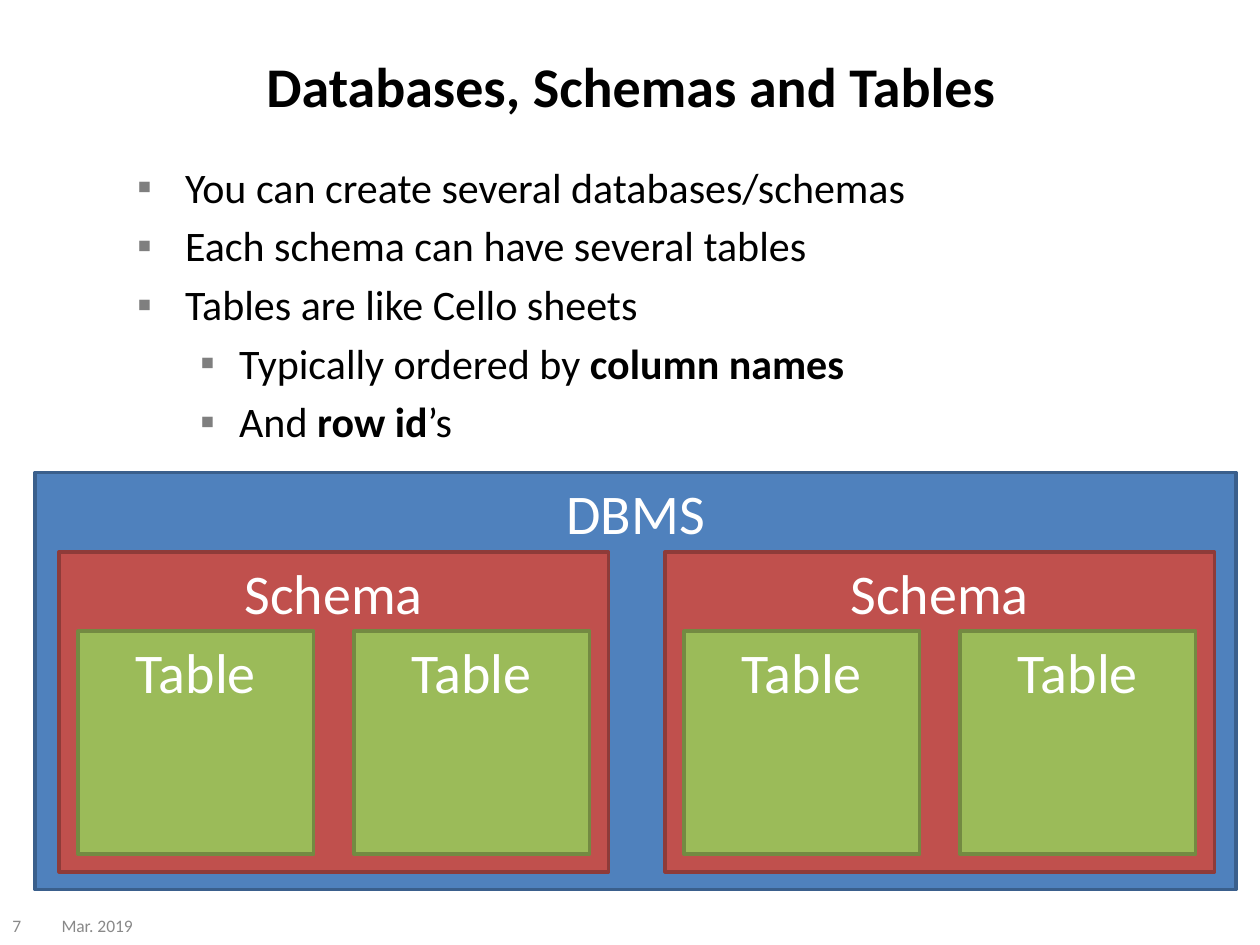
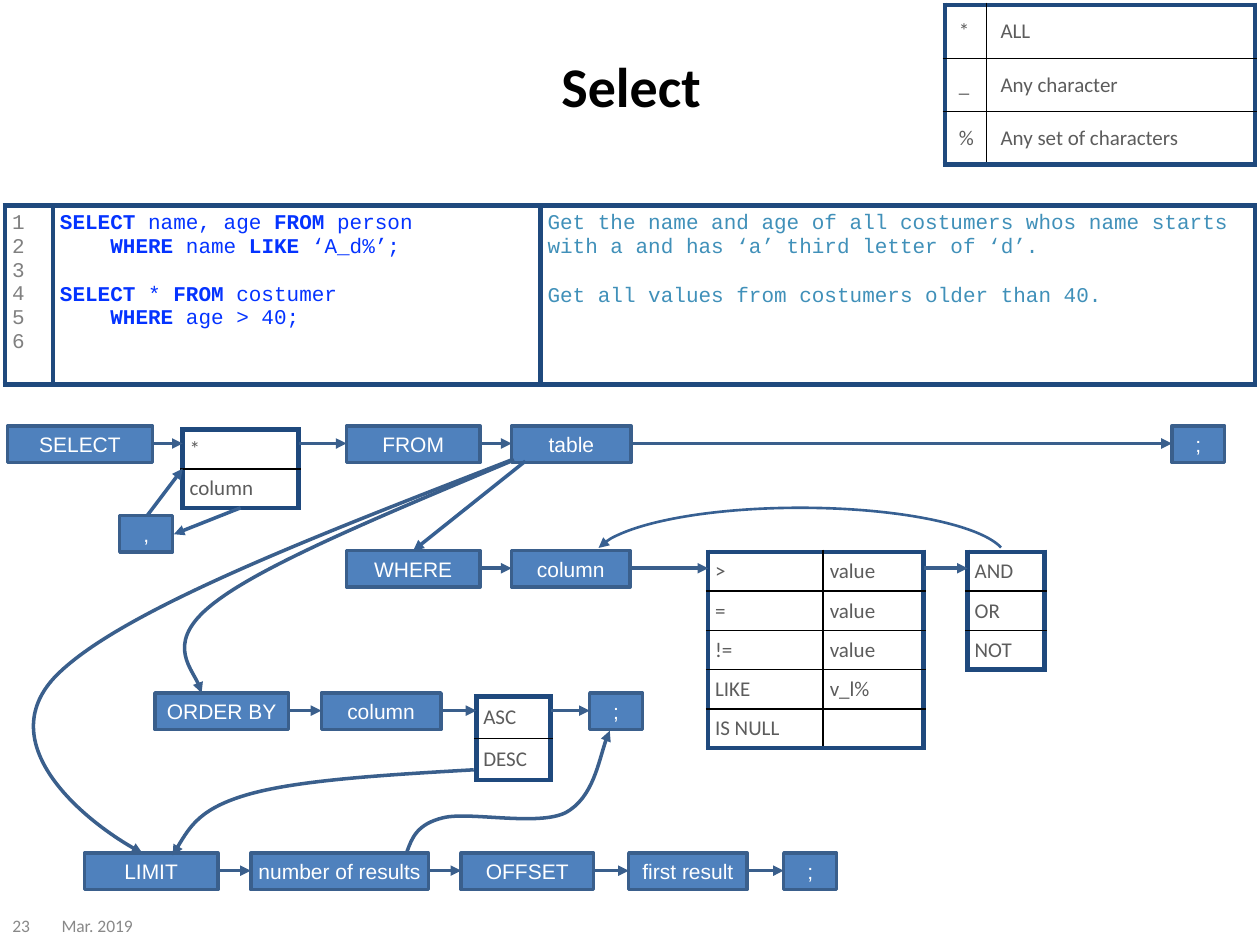
from lxml import etree
from pptx import Presentation
from pptx.dml.color import RGBColor
from pptx.enum import shapes, text
from pptx.oxml.ns import qn
from pptx.util import Inches, Pt

HUES = {
    "black": "000000", "white": "FFFFFF", "foot": "898989", "bullet": "7F7F7F",
    "blue": "4F81BD", "edge": "3A5F8C", "link": "376092", "navy": "1F497D",
    "red": "C0504D", "maroon": "8E3B39", "green": "9BBB59", "olive": "738A42",
    "cell": "5C5C5C", "count": "808080", "code": "0433FF", "note": "4090B9",
}
MID = text.MSO_ANCHOR.MIDDLE
TOP = text.MSO_ANCHOR.TOP
CENTER = text.PP_ALIGN.CENTER
BOX = 0.29


def hue(name):
    """Return a named colour."""
    return RGBColor.from_string(HUES[name])


def sub(node, tag, **attrs):
    """Append an XML child with the given attributes."""
    return etree.SubElement(node, qn(tag), **attrs)


def inset(part, pad):
    """Set four equal margins, in points."""
    part.margin_left = part.margin_right = Pt(pad)
    part.margin_top = part.margin_bottom = Pt(pad)


def write(frame, lines, size, color, font="Calibri", align=None):
    """Write paragraphs by run: bars switch bold, newlines break the line."""
    for i, line in enumerate(lines):
        para = frame.paragraphs[0] if i == 0 else frame.add_paragraph()
        para.alignment = align
        para.font.size = Pt(size)
        for j, part in enumerate(line.split("|")):
            for k, piece in enumerate(part.split("\n")):
                if k:
                    para.add_line_break()
                    sub(para._p[-1], "a:rPr", sz=str(size * 100))
                if piece:
                    run = para.add_run()
                    run.text = piece
                    run.font.size, run.font.name = Pt(size), font
                    run.font.bold = j % 2 == 1
                    run.font.color.rgb = hue(color)
        if not line:
            sub(para._p, "a:endParaRPr", sz=str(size * 100))
    return frame.paragraphs


def label(slide, box, lines, size, color, anchor=MID, align=None):
    """Add a wrapped text box and return its paragraphs."""
    frame = slide.shapes.add_textbox(*map(Inches, box)).text_frame
    frame.word_wrap, frame.vertical_anchor = True, anchor
    return write(frame, lines, size, color, align=align)


def block(slide, box, word, fill, edge, size=32, font="Calibri", anchor=TOP, pad=None):
    """Add an outlined rectangle with a centred word."""
    shape = slide.shapes.add_shape(shapes.MSO_SHAPE.RECTANGLE, *map(Inches, box))
    shape.shadow.inherit = False
    shape.fill.solid()
    shape.fill.fore_color.rgb = hue(fill)
    shape.line.color.rgb, shape.line.width = hue(edge), Pt(2)
    frame = shape.text_frame
    frame.word_wrap, frame.vertical_anchor = True, anchor
    if pad:
        inset(frame, pad)
    write(frame, [word], size, "white", font, CENTER)


def point(shape, color, width=2):
    """Style a line and end it with an arrowhead."""
    shape.line.color.rgb, shape.line.width = hue(color), Pt(width)
    sub(shape.line._get_or_add_ln(), "a:tailEnd", type="triangle")


def arrow(slide, x1, y1, x2, y2, color):
    """Add a straight arrow."""
    line = slide.shapes.add_connector(
        shapes.MSO_CONNECTOR.STRAIGHT, *map(Inches, (x1, y1, x2, y2)))
    point(line, color)
    sub(line.element.spPr, "a:effectLst")


def curve(slide, x, y, box, knots):
    """Add an arrow of cubic segments whose bounds are the box."""
    left, top, w, h = box
    pen = slide.shapes.build_freeform(Inches(x + left), Inches(y + top))
    pen.add_line_segments([(Inches(x + left + w), Inches(y + top + h))], close=False)
    shape = pen.convert_to_shape()
    shape.shadow.inherit = False
    shape.fill.background()
    point(shape, "edge")
    track = next(shape.element.iter(qn("a:path")))
    for child in list(track):
        track.remove(child)
    for i, (kx, ky) in enumerate(knots):
        if i == 0:
            step = sub(track, "a:moveTo")
        elif i % 3 == 1:
            step = sub(track, "a:cubicBezTo")
        sub(step, "a:pt", x=str(Inches(kx - left)), y=str(Inches(ky - top)))


def border(cell, sides):
    """Draw the four cell borders, navy where marked and thin black elsewhere."""
    props = cell._tc.get_or_add_tcPr()
    for side, bold in zip("LRTB", sides):
        line = sub(props, "a:ln" + side, w=str(Pt(3 if bold else 1)))
        sub(sub(line, "a:solidFill"), "a:srgbClr", val=HUES["navy" if bold else "black"])


def grid(slide, x, y, cols, pitch, rows, pad=4, anchor=MID, full=False):
    """Add a framed table and return it."""
    tall, wide = len(rows), len(cols)
    table = slide.shapes.add_table(
        tall, wide, *map(Inches, (x, y, sum(cols), pitch * tall))).table
    table.first_row = table.horz_banding = False
    for c, width in enumerate(cols):
        table.columns[c].width = Inches(width)
    for r, row in enumerate(rows):
        table.rows[r].height = Inches(pitch)
        for c, word in enumerate(row):
            cell = table.cell(r, c)
            border(cell, (full or c == 0, full or c == wide - 1,
                          full or r == 0, full or r == tall - 1))
            cell.fill.background()
            cell.vertical_anchor = anchor
            inset(cell, pad)
            if not full:
                write(cell.text_frame, [word], 12, "cell")
    return table


def base(deck, title, page):
    """Add a slide with its title and footer."""
    slide = deck.slides.add_slide(deck.slide_layouts[6])
    label(slide, (0.51, 0.05, 9, 1.25), [f"|{title}|"], 32, "black", align=CENTER)
    label(slide, (0.39, 7.19, 0.94, 0.31), ["Mar. 2019"], 10, "foot")
    label(slide, (0, 7.19, 0.47, 0.31), [page], 10, "foot")
    return slide


def points(slide, box, items):
    """Add a bulleted list of level and text pairs."""
    paras = label(slide, box, [line for _, line in items], 24, "black", TOP)
    for para, (level, _) in zip(paras, items):
        para.level, para.space_before = level, Pt(4.7)
        left, hang = ((0.38, 0.38), (0.81, 0.31))[level]
        props = para._p.get_or_add_pPr()
        props.set("marL", str(Inches(left)))
        props.set("indent", str(-Inches(hang)))
        for old in props.findall(qn("a:defRPr")):
            props.remove(old)
        sub(sub(props, "a:buClr"), "a:srgbClr", val=HUES["bullet"])
        sub(props, "a:buFont", typeface="Arial")
        sub(props, "a:buChar", char="▪")


def nest(slide, x, y, w, h):
    """Draw the system with its schemas and their tables."""
    block(slide, (x, y, w, h), "DBMS", "blue", "edge")
    for i in range(2):
        left, top = x + 0.19 + 4.81 * i, y + 0.63
        block(slide, (left, top, 4.36, 2.54), "Schema", "red", "maroon")
        for j in range(2):
            block(slide, (left + 0.15 + 2.19 * j, top + 0.63, 1.87, 1.77),
                  "Table", "green", "olive")


def sample(slide, x, y):
    """Add the numbered code with its explanation."""
    table = grid(slide, x, y, (0.38, 3.87, 5.67), 1.42, [("", "", "")],
                 anchor=TOP, full=True)
    parts = (
        ("count", [("1\n2\n3\n4\n5\n6", 0, 0)]),
        ("code", [("|SELECT |name, age| FROM |person", 0, 0),
                  ("|WHERE |name |LIKE| ‘A_d%’;", 0.4, 0),
                  ("|SELECT| * |FROM| costumer", 0, 1),
                  ("|WHERE| age > 40;", 0.4, 0)]),
        ("note", [("Get the name and age of all costumers whos name starts "
                   "with a and has ‘a’ third letter of ‘d’.\n\n"
                   "Get all values from costumers older than 40.", 0, 0)]),
    )
    for c, (color, lines) in enumerate(parts):
        frame = table.cell(0, c).text_frame
        paras = write(frame, [line[0] for line in lines], 12, color, "Courier New")
        for para, (_, dent, gap) in zip(paras, lines):
            para.space_before = Pt(13.6 * gap)
            para._p.get_or_add_pPr().set("marL", str(Inches(dent)))


def node(slide, x, y, w, word):
    """Add one box of the syntax diagram."""
    block(slide, (x, y, w, BOX), word, "blue", "edge", 12, "Arial", MID, 4)


def chain(slide, x, y, drop, pitch, items):
    """Add a row of boxes and tables joined by arrows."""
    end = None
    for left, size, what in items:
        if isinstance(what, str):
            node(slide, x + left, y, size, what)
            width = size
        else:
            grid(slide, x + left, y + drop, size, pitch, what)
            width = sum(size)
        if end:
            arrow(slide, x + end, y + 0.14, x + left, y + 0.14, "edge")
        end = left + width


def loop(slide, box):
    """Add the arched arrow that leads back to the column."""
    arc = slide.shapes.add_shape(shapes.MSO_SHAPE.ARC, *map(Inches, box))
    arc.shadow.inherit = False
    arc.fill.background()
    arc.adjustments[0], arc.adjustments[1] = 110.044, 214.044
    arc.element.spPr.find(qn("a:xfrm")).set("flipH", "1")
    point(arc, "link", 1.5)


def syntax(slide, x, y):
    """Draw the syntax diagram of the query."""
    tests = [(">", "value"), ("=", "value"), ("!=", "value"),
             ("LIKE", "v_l%"), ("IS NULL", "")]
    rows = (
        (0, 0.03, 0.31, [
            (0.06, 1.15, "SELECT"), (1.45, [0.92], [("*",), ("column",)]),
            (2.75, 1.06, "FROM"), (4.06, 0.95, "table"), (9.3, 0.42, ";")]),
        (0.99, 0.01, 0.31, [
            (2.75, 1.06, "WHERE"), (4.06, 0.94, "column"),
            (5.62, [0.91, 0.8], tests),
            (7.68, [0.61], [("AND",), ("OR",), ("NOT",)])]),
        (2.12, 0.03, 0.33, [
            (1.23, 1.06, "ORDER BY"), (2.55, 0.95, "column"),
            (3.78, [0.59], [("ASC",), ("DESC",)]), (4.68, 0.42, ";")]),
        (3.39, 0, 0, [
            (0.67, 1.06, "LIMIT"), (1.99, 1.41, "number of results"),
            (3.66, 1.05, "OFFSET"), (4.99, 0.94, "first result"), (6.22, 0.42, ";")]),
    )
    for down, drop, pitch, items in rows:
        chain(slide, x, y + down, drop, pitch, items)
    node(slide, x + 0.95, y + 0.71, 0.42, ",")
    for x1, y1, x2, y2 in ((1.17, 0.71, 1.45, 0.34), (1.91, 0.65, 1.38, 0.86),
                           (4.17, 0.28, 3.28, 0.99)):
        arrow(slide, x + x1, y + y1, x + x2, y + y2, "link")
    loop(slide, (x + 4.71, y + 0.65, 3.28, 0.82))
    for box, knots in (
        ((0.28, 0.27, 3.78, 3.11),
         [(4.06, 0.27), (2.49, 0.88), (0.92, 1.48), (0.43, 2),
          (-0.05, 2.52), (0.7, 3.17), (1.13, 3.39)]),
        ((1.49, 0.27, 2.59, 1.85),
         [(4.08, 0.27), (3.11, 0.68), (2.13, 1.08), (1.72, 1.39),
          (1.3, 1.7), (1.58, 2), (1.6, 2.12)]),
        ((1.37, 2.73, 2.38, 0.67),
         [(3.76, 2.73), (3.07, 2.77), (2.39, 2.81), (1.99, 2.92),
          (1.59, 3.03), (1.48, 3.22), (1.37, 3.41)]),
        ((3.23, 2.42, 1.61, 0.96),
         [(3.23, 3.38), (3.27, 3.27), (3.31, 3.16), (3.52, 3.11), (3.73, 3.06),
          (4.27, 3.18), (4.49, 3.07), (4.71, 2.95), (4.77, 2.56), (4.84, 2.42)]),
    ):
        curve(slide, x, y, box, knots)


def main():
    """Build and save both slides."""
    deck = Presentation()
    deck.slide_width, deck.slide_height = Inches(10), Inches(7.5)

    slide = base(deck, "Databases, Schemas and Tables", "7")
    points(slide, (0.99, 1.23, 7.95, 5.8), [
        (0, "You can create several databases/schemas"),
        (0, "Each schema can have several tables"),
        (0, "Tables are like Cello sheets"),
        (1, "Typically ordered by |column names|"),
        (1, "And |row id|’s"),
    ])
    nest(slide, 0.28, 3.75, 9.53, 3.31)

    slide = base(deck, "Select", "23")
    grid(slide, 7.5, 0.04, (0.33, 2.13), 0.42,
         [("*", "ALL"), ("_", "Any character"), ("%", "Any set of characters")], 8, TOP)
    sample(slide, 0.04, 1.63)
    syntax(slide, 0, 3.38)
    deck.save("out.pptx")


main()
